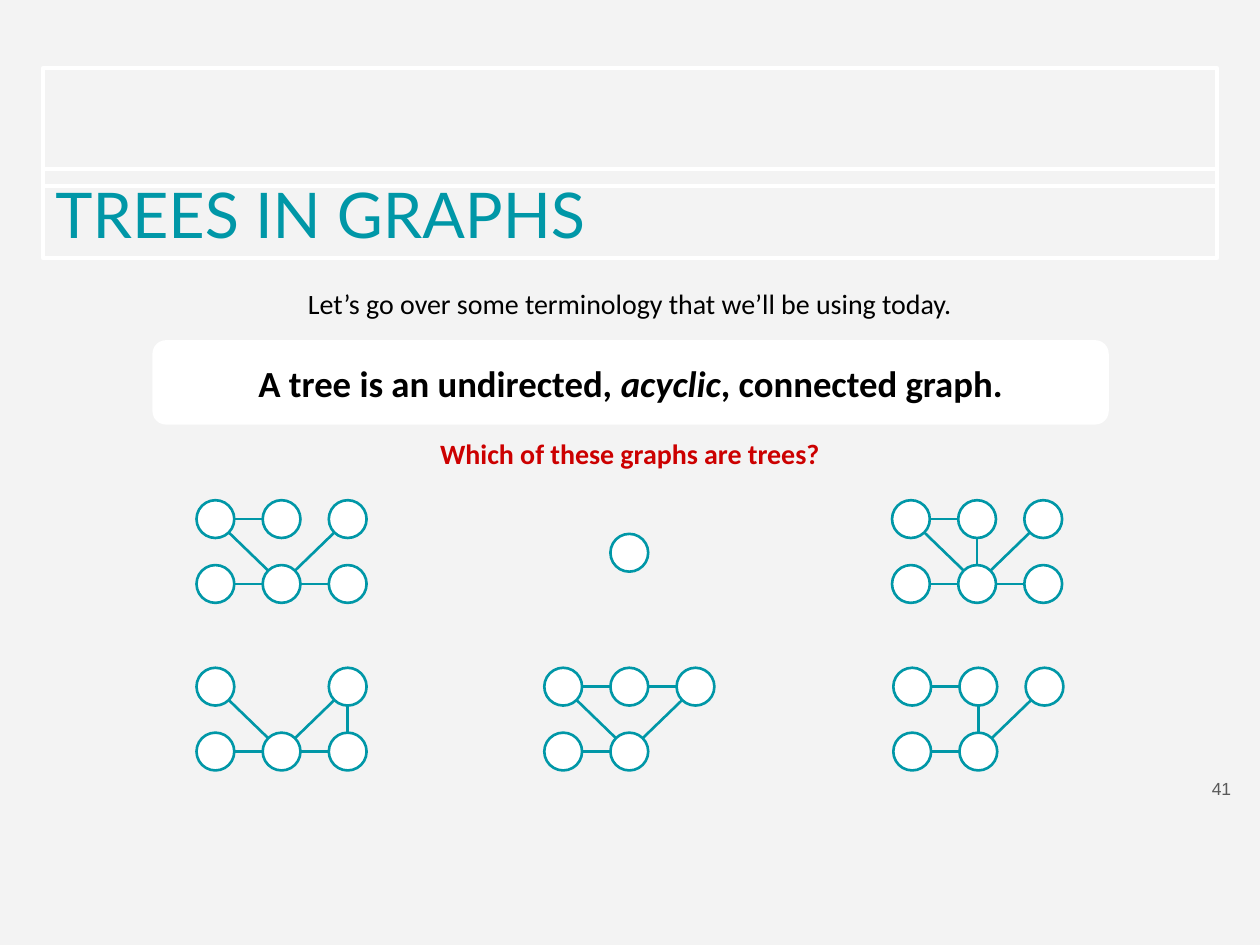
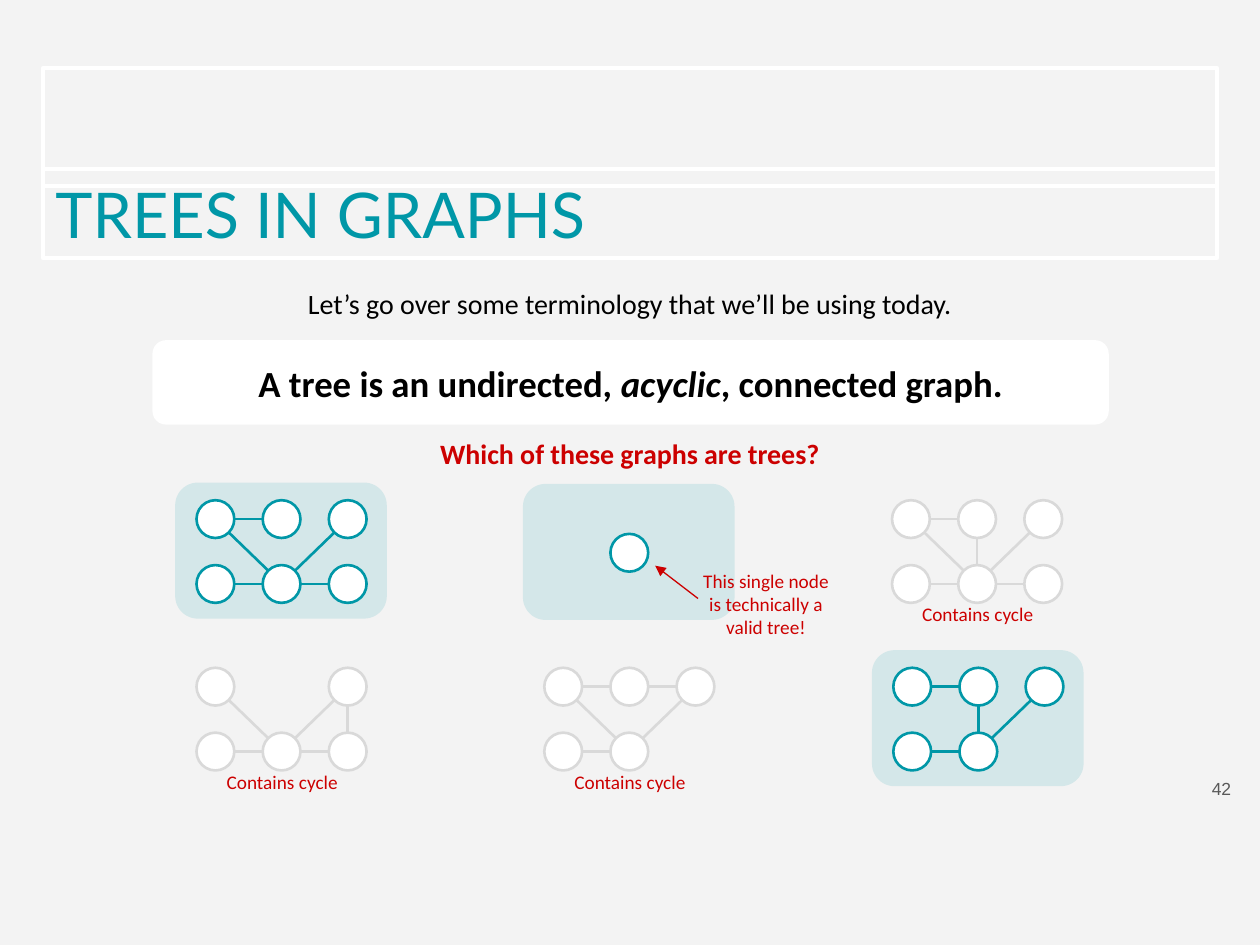
import lxml.etree
import pptx
import pptx.dml.color
import pptx.enum.shapes
import pptx.enum.text
import pptx.oxml.ns
import pptx.util

Inches = pptx.util.Inches
SHAPES = pptx.enum.shapes.MSO_SHAPE
ALIGN = pptx.enum.text.PP_ALIGN

TEAL, PALE_TEAL, RED = "0097A7", "D4E7E9", "CC0000"
WHITE, BLACK, GREY, FADED, PAPER = "FFFFFF", "000000", "595959", "D9D9D9", "F3F3F3"

NODE = 0.3
COLUMN_STEP, ROW_STEP = 0.525, 0.515
PLACES = {"a": (0, 0), "b": (1, 0), "c": (2, 0),
          "d": (0, 1), "e": (1, 1), "f": (2, 1), "m": (1, 0.5)}

GRAPHS = [
    (1.56, 3.97, "abcdef", "ab ae ce de ef", True),
    (4.32, 3.98, "m", "", True),
    (7.08, 3.97, "abcdef", "ab ae be ce de ef", False),
    (1.56, 5.3, "acdef", "ae ce de ef cf", False),
    (4.32, 5.3, "abcde", "ab bc ae ce de", False),
    (7.09, 5.3, "abcde", "ab be ce de", True),
]


def rgb(color):
    return pptx.dml.color.RGBColor.from_string(color)


class Deck:
    def __init__(self):
        self.presentation = pptx.Presentation()
        self.presentation.slide_width = Inches(10)
        self.presentation.slide_height = Inches(7.5)
        self.slide = None

    def start_slide(self, title, number):
        self.slide = self.presentation.slides.add_slide(self.presentation.slide_layouts[5])
        background = self.slide.background.fill
        background.solid()
        background.fore_color.rgb = rgb(PAPER)
        self.shape(SHAPES.RECTANGLE, 0.34, 0.54, 9.32, 0.94, line=WHITE, weight=2.25)
        heading = self.slide.shapes.title
        heading.left, heading.top = Inches(0.34), Inches(1.34)
        heading.width, heading.height = Inches(9.32), Inches(0.71)
        heading.line.color.rgb = rgb(WHITE)
        heading.line.width = pptx.util.Pt(2.25)
        self.set_text(heading, [title], 36, TEAL, font="Lato", align=ALIGN.LEFT)
        self.text(9.27, 6.04, 0.6, 0.43, [number], 10, GREY, font="Arial", align=ALIGN.RIGHT)

    def set_text(self, holder, pieces, size, color, font="Calibri", bold=False,
                 align=ALIGN.CENTER):
        frame = holder.text_frame
        frame.word_wrap = True
        frame.auto_size = pptx.enum.text.MSO_AUTO_SIZE.NONE
        frame.vertical_anchor = pptx.enum.text.MSO_ANCHOR.MIDDLE
        frame.margin_left = frame.margin_right = Inches(0.1)
        frame.margin_top = frame.margin_bottom = Inches(0.1)
        paragraph = frame.paragraphs[0]
        paragraph.alignment = align
        paragraph.font.name = font
        paragraph.font.size = pptx.util.Pt(size)
        paragraph.font.bold = bold
        paragraph.font.color.rgb = rgb(color)
        for position, piece in enumerate(pieces):
            run = paragraph.add_run()
            run.text = piece
            if position % 2:
                run.font.italic = True

    def text(self, left, top, width, height, pieces, size, color, **style):
        box = self.slide.shapes.add_textbox(
            Inches(left), Inches(top), Inches(width), Inches(height))
        self.set_text(box, pieces, size, color, **style)

    def shape(self, kind, left, top, width, height, fill=None, line=None, weight=1.5):
        shape = self.slide.shapes.add_shape(
            kind, Inches(left), Inches(top), Inches(width), Inches(height))
        shape.shadow.inherit = False
        if fill:
            shape.fill.solid()
            shape.fill.fore_color.rgb = rgb(fill)
        else:
            shape.fill.background()
        if line:
            shape.line.color.rgb = rgb(line)
            shape.line.width = pptx.util.Pt(weight)
        else:
            shape.line.fill.background()
        return shape

    def line(self, start, end, color, weight=1.5, arrow=False):
        connector = self.slide.shapes.add_connector(
            pptx.enum.shapes.MSO_CONNECTOR.STRAIGHT,
            *(Inches(length) for length in (*start, *end)))
        connector.line.color.rgb = rgb(color)
        connector.line.width = pptx.util.Pt(weight)
        properties = connector.element.spPr
        if arrow:
            outline = properties.find(pptx.oxml.ns.qn("a:ln"))
            lxml.etree.SubElement(outline, pptx.oxml.ns.qn("a:tailEnd"), type="triangle")
        lxml.etree.SubElement(properties, pptx.oxml.ns.qn("a:effectLst"))

    def graph(self, left, top, nodes, edges, color):
        centers = {name: (left + NODE / 2 + column * COLUMN_STEP,
                          top + NODE / 2 + row * ROW_STEP)
                   for name, (column, row) in PLACES.items()}
        for first, second in edges.split():
            (x1, y1), (x2, y2) = centers[first], centers[second]
            across = (x2 > x1) - (x2 < x1)
            down = (y2 > y1) - (y2 < y1)
            reach = NODE / 2 / (across ** 2 + down ** 2) ** 0.5
            self.line((x1 + across * reach, y1 + down * reach),
                      (x2 - across * reach, y2 - down * reach), color)
        for name in nodes:
            x, y = centers[name]
            self.shape(SHAPES.OVAL, x - NODE / 2, y - NODE / 2, NODE, NODE, WHITE, color)

    def note(self, left, top, words):
        self.text(left, top, 1.3, 0.67, [words], 11, RED)

    def trees_slide(self, number, answered):
        self.start_slide("TREES IN GRAPHS", number)
        self.text(0.34, 2.01, 9.32, 0.8,
                  ["Let’s go over some terminology that we’ll be using today."], 16, BLACK)
        definition = self.shape(SHAPES.ROUNDED_RECTANGLE, 1.21, 2.7, 7.59, 0.67, WHITE)
        definition.adjustments[0] = 0.16
        self.set_text(definition, ["A tree is an undirected, ", "acyclic", ", connected graph."],
                      21, BLACK, bold=True)
        self.text(0.34, 3.38, 9.32, 0.43, ["Which of these graphs are trees?"], 16, RED, bold=True)
        for left, top, nodes, edges, is_tree in GRAPHS:
            if answered and is_tree:
                self.shape(SHAPES.ROUNDED_RECTANGLE, left - 0.17, top - 0.14, 1.68, 1.08, PALE_TEAL)
            self.graph(left, top, nodes, edges, TEAL if is_tree or not answered else FADED)
            if answered and not is_tree:
                self.note(left + 0.03, top + 0.57, "Contains cycle")
        if answered:
            self.note(5.43, 4.46, "This single node is technically a valid tree!")
            self.line((5.54, 4.75), (5.2, 4.49), RED, 0.75, arrow=True)


def main():
    deck = Deck()
    deck.trees_slide("41", answered=False)
    deck.trees_slide("42", answered=True)
    deck.presentation.save("out.pptx")


if __name__ == "__main__":
    main()
